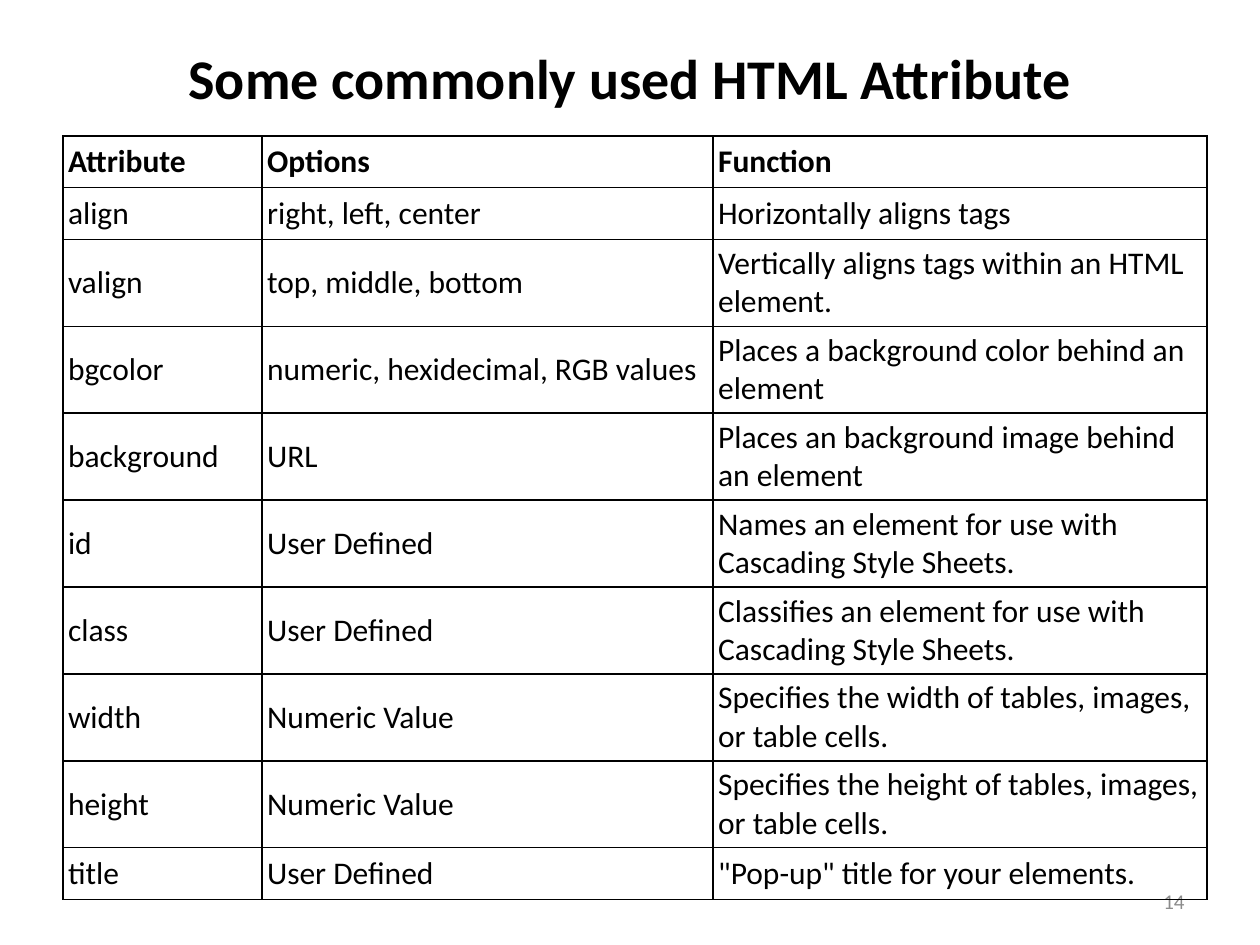
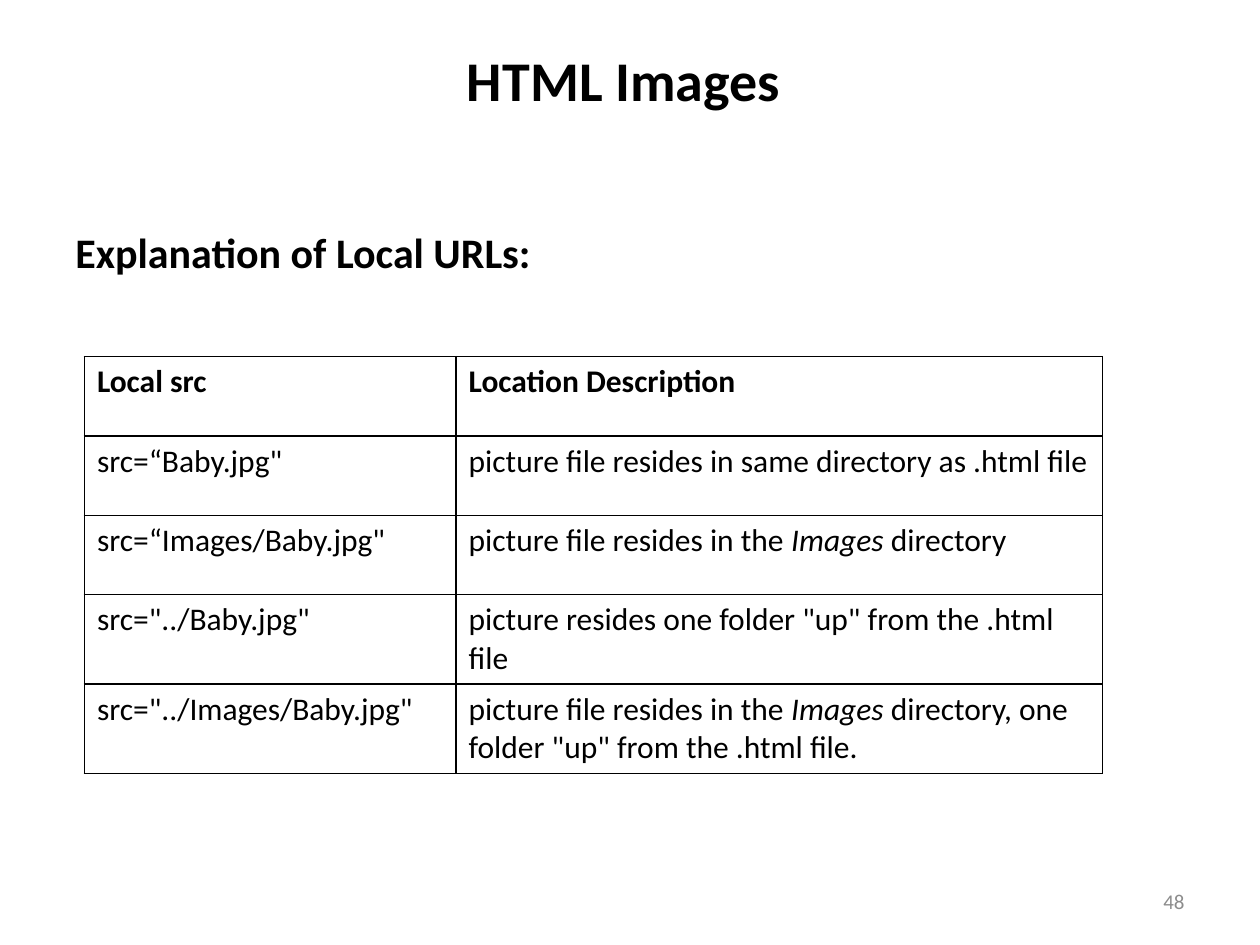
"""Builds two slides on HTML attributes and local image URLs."""
import pptx
import pptx.dml.color
import pptx.enum.text
import pptx.oxml
import pptx.oxml.ns
import pptx.util

Inches = pptx.util.Inches
Pt = pptx.util.Pt
ALIGN = pptx.enum.text.PP_ALIGN
ANCHOR = pptx.enum.text.MSO_ANCHOR
FONT = "Calibri"
INK = "000000"
NUMBER_GREY = "8C8C8C"
BORDER_XML = (
    '<a:{side} {ns} w="12700"><a:solidFill><a:srgbClr val="{colour}"/></a:solidFill></a:{side}>'
)


def write_text(frame, text, size, colour=INK, bold=False, align=ALIGN.LEFT):
    """Write one paragraph; parts between asterisks are italic."""
    paragraph = frame.paragraphs[0]
    paragraph.alignment = align
    for index, part in enumerate(text.split("*")):
        run = paragraph.add_run()
        run.text = part
        run.font.name = FONT
        run.font.size = Pt(size)
        run.font.bold = bold
        run.font.italic = index % 2 == 1
        run.font.color.rgb = pptx.dml.color.RGBColor.from_string(colour)


def add_text_box(slide, box, anchor, text, size, **style):
    """Add a wrapping text box that holds one paragraph."""
    frame = slide.shapes.add_textbox(*map(Inches, box)).text_frame
    frame.word_wrap = True
    frame.vertical_anchor = anchor
    write_text(frame, text, size, **style)


attribute_rows = [
    ("Attribute", "Options", "Function"),
    ("align", "right, left, center", "Horizontally aligns tags"),
    ("valign", "top, middle, bottom", "Vertically aligns tags within an HTML element."),
    ("bgcolor", "numeric, hexidecimal, RGB values", "Places a background color behind an element"),
    ("background", "URL", "Places an background image behind an element"),
    ("id", "User Defined", "Names an element for use with Cascading Style Sheets."),
    ("class", "User Defined", "Classifies an element for use with Cascading Style Sheets."),
    ("width", "Numeric Value", "Specifies the width of tables, images, or table cells."),
    ("height", "Numeric Value", "Specifies the height of tables, images, or table cells."),
    ("title", "User Defined", '"Pop-up" title for your elements.'),
]
local_url_rows = [
    ("Local src", "Location Description"),
    ('src=“Baby.jpg"', "picture file resides in same directory as .html file"),
    ('src=“Images/Baby.jpg"', "picture file resides in the *Images* directory"),
    ('src="../Baby.jpg"', 'picture resides one folder "up" from the .html file'),
    ('src="../Images/Baby.jpg"',
     'picture file resides in the *Images* directory, one folder "up" from the .html file.'),
]
pages = [
    {
        "title": "Some commonly used HTML Attribute", "title_box": (0.5, 0.3, 9, 0.62),
        "number": "14", "rows": attribute_rows, "corner": (0.5, 1.08),
        "widths": (1.58, 3.58, 3.92), "heights": [0.41] * 2 + [0.69] * 7 + [0.41],
        "anchor": ANCHOR.MIDDLE, "margins": (0.04, 0.04),
    },
    {
        "title": "HTML Images ", "title_box": (0.5, 0.17, 9, 0.92),
        "heading": "Explanation of Local URLs:",
        "number": "48", "rows": local_url_rows, "corner": (0.67, 2.83),
        "widths": (2.95, 5.13), "heights": [0.63] * 3 + [0.71] * 2,
        "anchor": ANCHOR.TOP, "margins": (0.1, 0.05),
    },
]

deck = pptx.Presentation()
deck.slide_width = Inches(10)
deck.slide_height = Inches(7.5)

for page in pages:
    slide = deck.slides.add_slide(deck.slide_layouts[5])
    title = slide.shapes.title
    title.left, title.top, title.width, title.height = map(Inches, page["title_box"])
    title.text_frame.vertical_anchor = ANCHOR.MIDDLE
    write_text(title.text_frame, page["title"], 32, bold=True, align=ALIGN.CENTER)

    if "heading" in page:
        add_text_box(slide, (0.5, 1.75, 9, 0.58), ANCHOR.TOP, page["heading"], 24, bold=True)
    add_text_box(slide, (7.17, 6.95, 2.33, 0.4), ANCHOR.MIDDLE, page["number"], 12,
                 colour=NUMBER_GREY, align=ALIGN.RIGHT)

    widths, heights = page["widths"], page["heights"]
    size = (sum(widths), sum(heights))
    grid = slide.shapes.add_table(
        len(heights), len(widths), *map(Inches, page["corner"] + size)).table
    grid.horz_banding = False
    for column, width in zip(grid.columns, widths):
        column.width = Inches(width)
    for row, height in zip(grid.rows, heights):
        row.height = Inches(height)

    side_margin, end_margin = map(Inches, page["margins"])
    for row_index, texts in enumerate(page["rows"]):
        for column_index, text in enumerate(texts):
            cell = grid.cell(row_index, column_index)
            cell.vertical_anchor = page["anchor"]
            cell.margin_left = cell.margin_right = side_margin
            cell.margin_top = cell.margin_bottom = end_margin
            write_text(cell.text_frame, text, 18, bold=row_index == 0)
            cell.fill.background()
            properties = cell._tc.get_or_add_tcPr()
            for position, side in enumerate(("lnL", "lnR", "lnT", "lnB")):
                border = BORDER_XML.format(side=side, ns=pptx.oxml.ns.nsdecls("a"), colour=INK)
                properties.insert(position, pptx.oxml.parse_xml(border))

deck.save("out.pptx")
